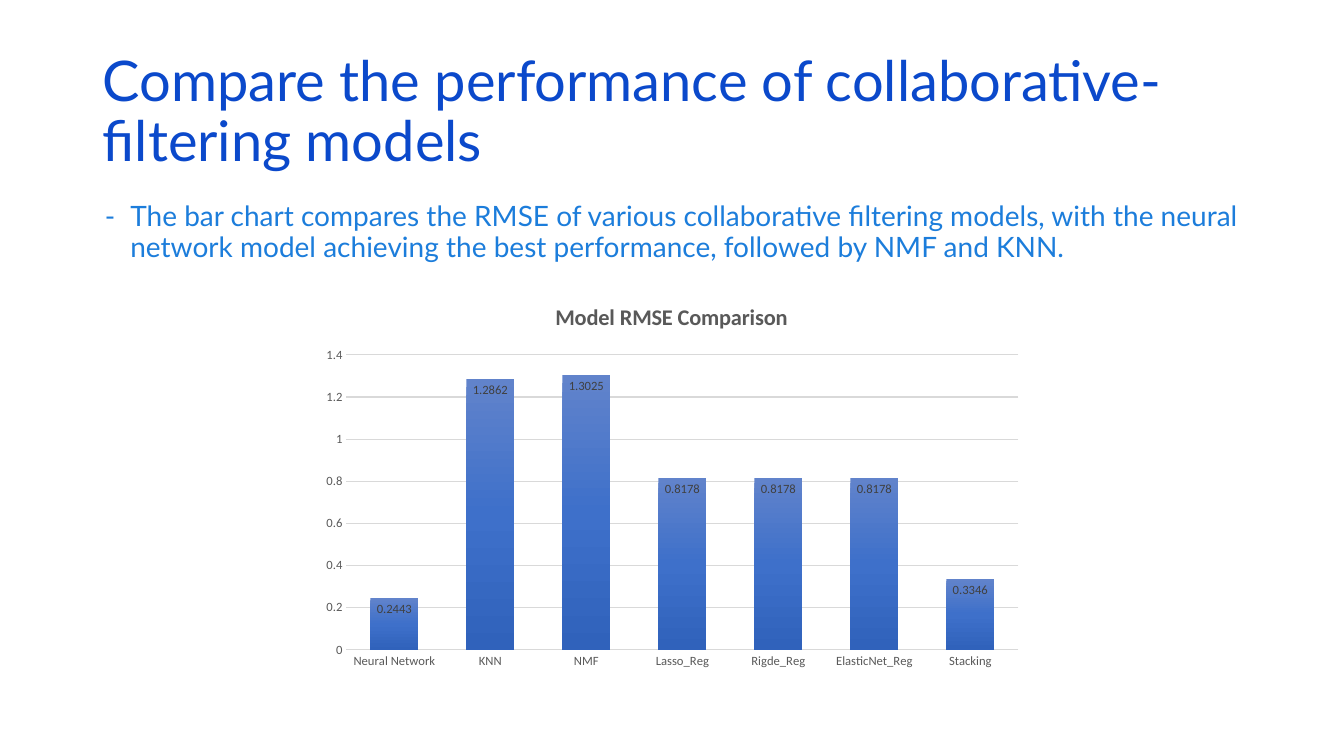
from dataclasses import dataclass

from lxml import etree
from pptx import Presentation
from pptx.chart.axis import CategoryAxis, ValueAxis
from pptx.chart.chart import Chart
from pptx.chart.data import CategoryChartData
from pptx.dml.color import RGBColor
from pptx.enum.chart import XL_CHART_TYPE, XL_LABEL_POSITION, XL_TICK_MARK
from pptx.enum.text import MSO_ANCHOR, MSO_AUTO_SIZE, PP_ALIGN
from pptx.oxml.ns import qn
from pptx.shapes.placeholder import SlidePlaceholder
from pptx.slide import Slide
from pptx.text.text import Font
from pptx.util import Cm, Pt

COLUMN_CLUSTERED = XL_CHART_TYPE.COLUMN_CLUSTERED
INSIDE_END = XL_LABEL_POSITION.INSIDE_END
NO_TICK = XL_TICK_MARK.NONE
TOP, MIDDLE = MSO_ANCHOR.TOP, MSO_ANCHOR.MIDDLE
NO_AUTOFIT = MSO_AUTO_SIZE.NONE
LEFT = PP_ALIGN.LEFT

TITLE_BLUE = RGBColor(0x0B, 0x49, 0xCB)
BODY_BLUE = RGBColor(0x1C, 0x7D, 0xDB)
BLACK = RGBColor(0, 0, 0)
LABEL_GRAY = RGBColor(0x40, 0x40, 0x40)
AXIS_GRAY = RGBColor(0x59, 0x59, 0x59)
GRID_GRAY = RGBColor(0xD9, 0xD9, 0xD9)
BAR_GRADIENT = (
    (0, RGBColor(0x61, 0x83, 0xCB)),
    (50, RGBColor(0x3E, 0x70, 0xCA)),
    (100, RGBColor(0x30, 0x62, 0xBB)),
)

TEXT_FONT = "Lato"
CHART_FONT = "Calibri"
PLOT_LAYOUT = {"x": 0.05, "y": 0.18, "w": 0.93, "h": 0.75}
RMSE = {
    "Neural Network": 0.2443,
    "KNN": 1.2862,
    "NMF": 1.3025,
    "Lasso_Reg": 0.8178,
    "Rigde_Reg": 0.8178,
    "ElasticNet_Reg": 0.8178,
    "Stacking": 0.3346,
}


@dataclass(frozen=True)
class TextBlock:
    text: str
    left: float
    top: float
    width: float
    height: float
    size: float
    color: RGBColor
    anchor: MSO_ANCHOR
    space_before: float = 0
    bullet: str = ""


HEADING = TextBlock(
    "Compare the performance of collaborative-filtering models",
    2.34, 1.02, 29.21, 3.68, 40, TITLE_BLUE, MIDDLE,
)
FINDING = TextBlock(
    "The bar chart compares the RMSE of various collaborative filtering models, "
    "with the neural network model achieving the best performance, "
    "followed by NMF and KNN.",
    2.39, 4.98, 29.21, 1.96, 20, BODY_BLUE, TOP, 10, "-",
)


def style_font(font: Font, name: str, size: float, color: RGBColor, bold: bool = False) -> None:
    font.name = name
    font.size = Pt(size)
    font.color.rgb = color
    font.bold = bold


def fill_placeholder(placeholder: SlidePlaceholder, block: TextBlock) -> None:
    placeholder.left, placeholder.top = Cm(block.left), Cm(block.top)
    placeholder.width, placeholder.height = Cm(block.width), Cm(block.height)
    frame = placeholder.text_frame
    frame.text = block.text
    frame.word_wrap = True
    frame.auto_size = NO_AUTOFIT
    frame.vertical_anchor = block.anchor
    paragraph = frame.paragraphs[0]
    paragraph.alignment = LEFT
    paragraph.line_spacing = 0.9
    paragraph.space_before = Pt(block.space_before)
    style_font(paragraph.runs[0].font, TEXT_FONT, block.size, block.color)
    if block.bullet:
        properties = paragraph._p.get_or_add_pPr()
        indent = Cm(0.64)
        properties.set("marL", str(indent))
        properties.set("indent", str(-indent))
        etree.SubElement(properties, qn("a:buFont"), typeface=TEXT_FONT)
        etree.SubElement(properties, qn("a:buChar"), char=block.bullet)


def style_axis(axis: CategoryAxis | ValueAxis) -> None:
    axis.major_tick_mark = NO_TICK
    axis.minor_tick_mark = NO_TICK
    style_font(axis.tick_labels.font, CHART_FONT, 9, AXIS_GRAY)


def place_plot(chart: Chart) -> None:
    plot_area = chart._chartSpace.find(".//" + qn("c:plotArea"))
    for automatic in plot_area.findall(qn("c:layout")):
        plot_area.remove(automatic)
    layout = etree.Element(qn("c:layout"))
    manual = etree.SubElement(layout, qn("c:manualLayout"))
    etree.SubElement(manual, qn("c:layoutTarget"), val="inner")
    for side in ("x", "y"):
        etree.SubElement(manual, qn(f"c:{side}Mode"), val="edge")
    for side, share in PLOT_LAYOUT.items():
        etree.SubElement(manual, qn(f"c:{side}"), val=str(share))
    plot_area.insert(0, layout)


def style_bars(chart: Chart) -> None:
    plot = chart.plots[0]
    plot.gap_width = 100
    plot.overlap = -24
    plot.vary_by_categories = False
    rmse_series = plot.series[0]
    fill = rmse_series.format.fill
    fill.gradient()
    fill.gradient_angle = 270
    stops = rmse_series._element.find(".//" + qn("a:gsLst"))
    for preset in list(stops):
        stops.remove(preset)
    for percent, color in BAR_GRADIENT:
        stop = etree.SubElement(stops, qn("a:gs"), pos=str(percent * 1000))
        etree.SubElement(stop, qn("a:srgbClr"), val=str(color))
    labels = rmse_series.data_labels
    labels.show_value = True
    labels.position = INSIDE_END
    style_font(labels.font, CHART_FONT, 9, LABEL_GRAY)


def add_rmse_chart(slide: Slide) -> None:
    data = CategoryChartData()
    data.categories = list(RMSE)
    data.add_series("Series 1", list(RMSE.values()))
    chart = slide.shapes.add_chart(
        COLUMN_CLUSTERED, Cm(7.82), Cm(7.16), Cm(18.21), Cm(9.91), data
    ).chart
    style_font(chart.font, CHART_FONT, 10, BLACK)
    chart.has_legend = False
    chart.has_title = True
    heading = chart.chart_title.text_frame
    heading.text = "Model RMSE Comparison"
    style_font(heading.paragraphs[0].runs[0].font, CHART_FONT, 16, AXIS_GRAY, True)
    chart.chart_title.include_in_layout = False

    models, errors = chart.category_axis, chart.value_axis
    for axis in (models, errors):
        style_axis(axis)
    models.format.line.color.rgb = GRID_GRAY
    models.format.line.width = Pt(1)
    errors.minimum_scale, errors.maximum_scale, errors.major_unit = 0, 1.4, 0.2
    errors.format.line.fill.background()
    grid = errors.major_gridlines.format.line
    grid.color.rgb = GRID_GRAY
    grid.width = Pt(0.75)

    style_bars(chart)
    place_plot(chart)


def main() -> None:
    deck = Presentation()
    deck.slide_width, deck.slide_height = Cm(33.87), Cm(19.05)
    slide = deck.slides.add_slide(deck.slide_layouts[1])
    fill_placeholder(slide.shapes.title, HEADING)
    fill_placeholder(slide.placeholders[1], FINDING)
    add_rmse_chart(slide)
    deck.save("out.pptx")


if __name__ == "__main__":
    main()
